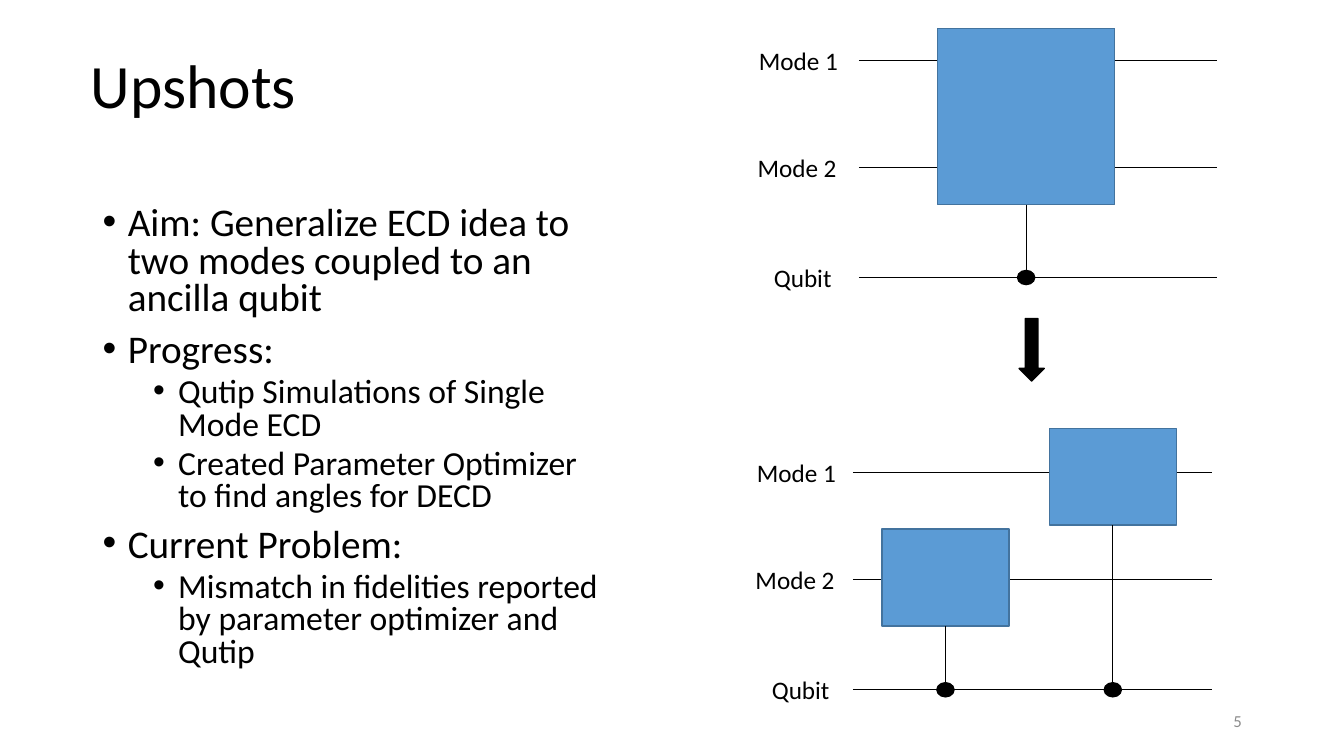
from dataclasses import dataclass

from lxml.etree import SubElement
from pptx import Presentation
from pptx.dml.color import RGBColor
from pptx.enum.shapes import MSO_CONNECTOR as Connector, MSO_SHAPE as Shape
from pptx.enum.text import MSO_ANCHOR as Anchor, PP_ALIGN as Align
from pptx.oxml.ns import qn
from pptx.util import Inches, Pt

# Grid: 80 columns by 45 rows of equal square cells
COLUMNS, ROWS = 80, 45
WIDTH, HEIGHT = Inches(13.33), Inches(7.5)
FONT = "Calibri"
BLACK, GRAY, BLUE, BLUE_EDGE = "000000", "8C8C8C", "5B9BD5", "43739E"


@dataclass(frozen=True)
class Gate:
    """A square gate, placed from the start of the circuit's first wire."""
    column: float
    row: float
    columns: float
    rows: float


@dataclass(frozen=True)
class Circuit:
    left: float
    top: float
    length: float
    label_gap: float
    gates: tuple[Gate, ...]


@dataclass(frozen=True)
class Bullet:
    words: str
    level: int = 0


WIRES = (("Mode 1", 0), ("Mode 2", 6.36), ("Qubit", 12.92))
CIRCUITS = (
    Circuit(51.12, 3.6, 21.3, 6.54, (Gate(4.68, -1.92, 10.56, 10.5),)),
    Circuit(50.76, 28.14, 21.36, 6.3,
            (Gate(1.74, 3.36, 7.56, 5.76), Gate(11.7, -2.64, 7.56, 5.76))),
)
BULLETS = (
    Bullet("Aim: Generalize ECD idea to two modes coupled to an ancilla qubit"),
    Bullet("Progress:"),
    Bullet("Qutip Simulations of Single Mode ECD", 1),
    Bullet("Created Parameter Optimizer to find angles for DECD", 1),
    Bullet("Current Problem:"),
    Bullet("Mismatch in fidelities reported by parameter optimizer and Qutip", 1),
)


def col(count: float) -> int:
    return round(WIDTH * count / COLUMNS)


def row(count: float) -> int:
    return round(HEIGHT * count / ROWS)


def area(left: float, top: float, columns: float, rows: float) -> tuple:
    return col(left), row(top), col(columns), row(rows)


def color(value: str) -> RGBColor:
    return RGBColor.from_string(value)


def write(para, words: str, size: float = 18, ink: str = BLACK,
          align=Align.LEFT, spacing: float = 1.0, before: float = 0) -> None:
    para.alignment = align
    para.line_spacing = spacing
    para.space_before = Pt(before)
    span = para.add_run()
    span.text = words
    span.font.name, span.font.size = FONT, Pt(size)
    span.font.color.rgb = color(ink)


def add_box(page, *place: float, anchor=Anchor.TOP):
    frame = page.shapes.add_textbox(*area(*place)).text_frame
    frame.word_wrap = True
    frame.vertical_anchor = anchor
    return frame


def add_solid(page, kind, *place: float, fill: str = BLACK, edge: str = BLACK) -> None:
    shape = page.shapes.add_shape(kind, *area(*place))
    shape.shadow.inherit = False
    shape.fill.solid()
    shape.fill.fore_color.rgb = color(fill)
    shape.line.color.rgb = color(edge)
    shape.line.width = Pt(1)


def add_wire(page, x1: float, y1: float, x2: float, y2: float) -> None:
    wire = page.shapes.add_connector(Connector.STRAIGHT, col(x1), row(y1), col(x2), row(y2))
    wire.line.color.rgb = color(BLACK)
    wire.line.width = Pt(0.5)
    SubElement(wire._element.spPr, qn("a:effectLst"))


def add_bullets(page) -> None:
    frame = add_box(page, 5.52, 12, 30.72, 28.56)
    for index, bullet in enumerate(BULLETS):
        para = frame.paragraphs[0] if index == 0 else frame.add_paragraph()
        para.level = bullet.level
        settings = para._p.get_or_add_pPr()
        settings.set("marL", str(Inches(0.25 + 0.5 * bullet.level)))
        settings.set("indent", str(-Inches(0.25)))
        SubElement(settings, qn("a:buFont"), typeface="Arial")
        SubElement(settings, qn("a:buChar"), char="•")
        before = 0 if index == 0 else 10 - 5 * bullet.level
        write(para, bullet.words, size=28 - 4 * bullet.level, spacing=0.8, before=before)


def add_circuit(page, circuit: Circuit) -> None:
    # Labelled wires
    for index, (name, offset) in enumerate(WIRES):
        y = circuit.top + offset
        add_wire(page, circuit.left, y, circuit.left + circuit.length, y)
        label_left = circuit.left - circuit.label_gap - 0.08 * index
        label = add_box(page, label_left, y - 1.2, 6.72, 2.4)
        write(label.paragraphs[0], name,
              align=Align.CENTER if name == "Qubit" else Align.LEFT)

    # Gates, each controlled by a dot on the qubit wire
    qubit_row = circuit.top + WIRES[-1][1]
    dot_columns, dot_rows = 1.02, 0.84
    for gate in circuit.gates:
        left, top = circuit.left + gate.column, circuit.top + gate.row
        center = left + gate.columns / 2
        add_solid(page, Shape.RECTANGLE, left, top, gate.columns, gate.rows,
                  fill=BLUE, edge=BLUE_EDGE)
        add_wire(page, center, top + gate.rows, center, qubit_row)
        add_solid(page, Shape.OVAL, center - dot_columns / 2, qubit_row - dot_rows / 2,
                  dot_columns, dot_rows)


def main() -> None:
    deck = Presentation()
    deck.slide_width, deck.slide_height = WIDTH, HEIGHT
    page = deck.slides.add_slide(deck.slide_layouts[5])

    # Title
    title = page.shapes.title
    title.left, title.top, title.width, title.height = area(4.8, 0.9, 69, 8.7)
    title.text_frame.vertical_anchor = Anchor.MIDDLE
    write(title.text_frame.paragraphs[0], "Upshots", size=44, spacing=0.9)

    # Bullets on the left, circuits on the right
    add_bullets(page)
    for circuit in CIRCUITS:
        add_circuit(page, circuit)
    add_solid(page, Shape.DOWN_ARROW, 60.66, 18.96, 1.5, 3.72)

    # Page number
    number = add_box(page, 56.52, 41.7, 18, 2.4, anchor=Anchor.MIDDLE)
    write(number.paragraphs[0], "5", size=12, ink=GRAY, align=Align.RIGHT)

    deck.save("out.pptx")


if __name__ == "__main__":
    main()
